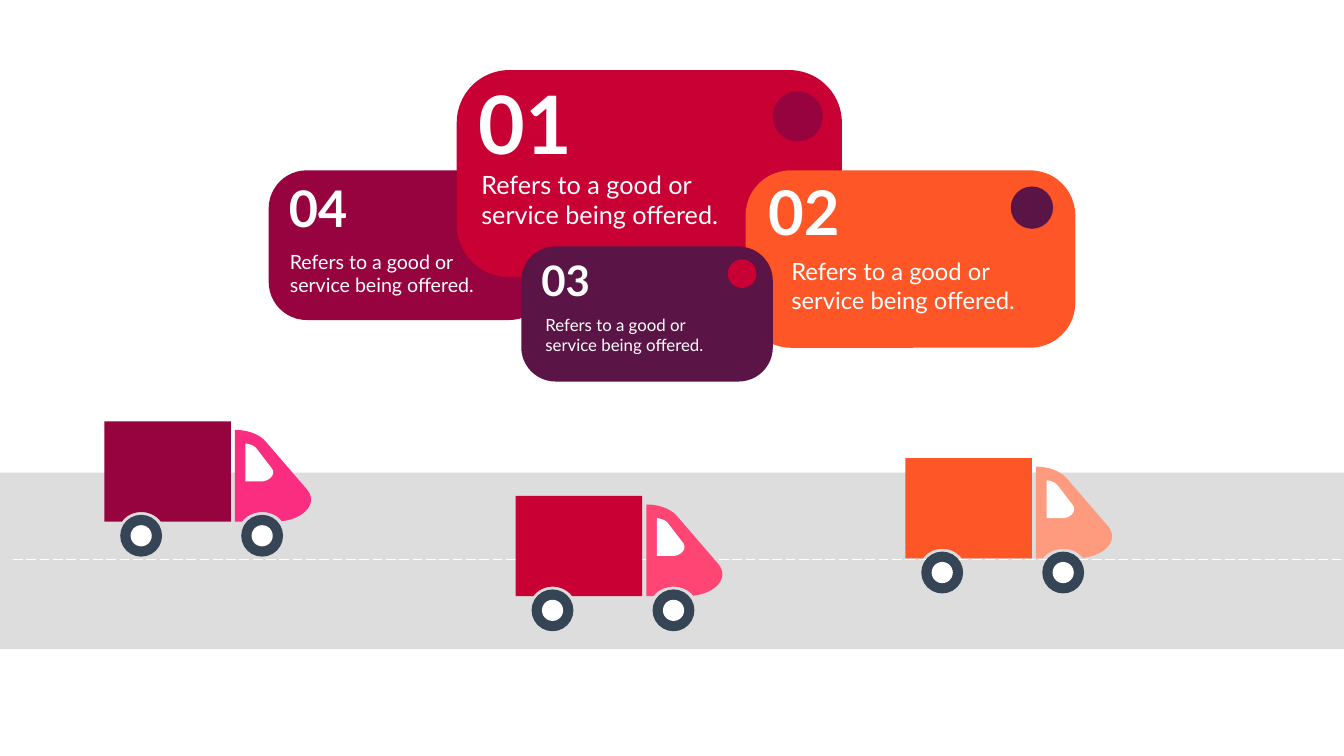
from lxml import etree
from pptx import Presentation
from pptx.dml.color import RGBColor
from pptx.enum import dml, shapes, text
from pptx.oxml import ns
from pptx.util import Inches, Pt

WHITE = RGBColor(0xFF, 0xFF, 0xFF)
ROAD_GREY = RGBColor(0x79, 0x79, 0x79)
TYRE = RGBColor(0x36, 0x45, 0x56)
BURGUNDY = RGBColor(0x96, 0x03, 0x3E)
RED = RGBColor(0xC8, 0x00, 0x33)
ORANGE = RGBColor(0xFE, 0x56, 0x26)
PLUM = RGBColor(0x5A, 0x14, 0x45)
PINK = RGBColor(0xFB, 0x2D, 0x80)
PEACH = RGBColor(0xFE, 0x9A, 0x7D)
ROSE = RGBColor(0xFF, 0x45, 0x74)

FONT = "Lato"
CORNER = 0.254
MESSAGE = "Refers to a good or\nservice being offered."

CARDS = [
    dict(number="04", box=(5.33, 3.38, 5.53, 2.97), color=BURGUNDY,
         number_box=(5.63, 3.47, 1.37, 1.31), number_size=72,
         message_box=(5.65, 4.9, 3.98, 1.04), message_size=28),
    dict(number="01", box=(9.06, 1.39, 7.64, 4.11), color=RED,
         number_box=(9.39, 1.42, 2.07, 2.04), number_size=115,
         message_box=(9.45, 3.3, 5.27, 1.31), message_size=36),
    dict(number="02", box=(14.79, 3.38, 6.54, 3.52), color=ORANGE,
         number_box=(15.14, 3.41, 1.63, 1.58), number_size=88,
         message_box=(15.6, 5.05, 4.73, 1.25), message_size=34),
    dict(number="03", box=(10.34, 4.89, 4.99, 2.68), color=PLUM,
         number_box=(10.64, 5.01, 1.18, 1.11), number_size=60,
         message_box=(10.72, 6.2, 3.45, 0.91), message_size=24),
]

DOTS = [
    (15.825, 2.31, 0.99, BURGUNDY),
    (20.47, 4.12, 0.84, PLUM),
    (14.72, 5.43, 0.57, RED),
]

TRUCKS = [
    (2.07, 8.36, BURGUNDY, PINK),
    (17.96, 9.09, ORANGE, PEACH),
    (10.23, 9.84, RED, ROSE),
]

# Two numbers are a corner; six numbers are a Bezier curve.
CARGO = [(0, 0), (0, 1.99), (0.35, 1.99), (0.42, 1.88, 0.57, 1.8, 0.73, 1.8),
         (0.9, 1.8, 1.04, 1.88, 1.12, 1.99), (2.51, 1.99), (2.51, 0)]
CAB = [(4.01, 1.34), (3.2, 0.4), (3.07, 0.25, 2.83, 0.17, 2.59, 0.17),
       (2.59, 1.99), (2.73, 1.99), (2.81, 1.88, 2.96, 1.8, 3.13, 1.8),
       (3.29, 1.8, 3.44, 1.87, 3.52, 1.98), (3.98, 1.93, 4.25, 1.61, 4.01, 1.34)]
WINDOW = [(3.32, 0.93), (3.02, 0.54), (2.97, 0.48, 2.89, 0.45, 2.8, 0.44),
          (2.8, 1.19), (2.98, 1.19), (3.04, 1.19, 3.02, 1.19, 3.14, 1.19),
          (3.3, 1.17, 3.4, 1.04, 3.32, 0.93)]
WHEEL_CENTRES = [(3.13, 2.27), (0.73, 2.27)]
WHEEL, HUB = 0.83, 0.42
CURVE_STEPS = 16


def paint(shape, color):
    shape.shadow.inherit = False
    shape.fill.solid()
    shape.fill.fore_color.rgb = color
    shape.line.fill.background()
    return shape


def add_preset(slide, preset, box, color):
    return paint(slide.shapes.add_shape(preset, *map(Inches, box)), color)


def add_disc(slide, x, y, size, color):
    box = (x - size / 2, y - size / 2, size, size)
    return add_preset(slide, shapes.MSO_SHAPE.OVAL, box, color)


def trace(outline):
    points = [outline[0]]
    for segment in outline[1:]:
        if len(segment) == 2:
            points.append(segment)
            continue
        controls = [points[-1], segment[:2], segment[2:4], segment[4:]]
        for step in range(1, CURVE_STEPS + 1):
            t = step / CURVE_STEPS
            weights = ((1 - t) ** 3, 3 * t * (1 - t) ** 2, 3 * t * t * (1 - t), t ** 3)
            points.append(tuple(sum(w * c[axis] for w, c in zip(weights, controls))
                                for axis in (0, 1)))
    return points


def add_outline(slide, left, top, outline, color):
    points = [(Inches(left + x), Inches(top + y)) for x, y in trace(outline)]
    builder = slide.shapes.build_freeform(*points[0])
    builder.add_line_segments(points[1:], close=True)
    return paint(builder.convert_to_shape(), color)


def add_text(slide, box, words, size, bold=False, wrap=True):
    frame = slide.shapes.add_textbox(*map(Inches, box)).text_frame
    frame.word_wrap = wrap
    frame.auto_size = text.MSO_AUTO_SIZE.SHAPE_TO_FIT_TEXT
    frame.text = words
    for paragraph in frame.paragraphs:
        for run in paragraph.runs:
            run.font.name = FONT
            run.font.size = Pt(size)
            run.font.bold = bold
            run.font.color.rgb = WHITE


def add_road(slide):
    road = add_preset(slide, shapes.MSO_SHAPE.RECTANGLE, (0, 9.38, 26.66, 3.5), ROAD_GREY)
    tint = road.fill._xPr.find(".//" + ns.qn("a:srgbClr"))
    etree.SubElement(tint, ns.qn("a:alpha"), val="25000")

    lane = slide.shapes.add_connector(
        shapes.MSO_CONNECTOR.STRAIGHT, *map(Inches, (0.26, 11.1, 26.66, 11.1)))
    lane.line.color.rgb = WHITE
    lane.line.width = Pt(1.73)
    lane.line.dash_style = dml.MSO_LINE.LONG_DASH
    etree.SubElement(lane._element.spPr, ns.qn("a:effectLst"))


def add_truck(slide, left, top, cargo_color, cab_color):
    for outline, color in ((CARGO, cargo_color), (CAB, cab_color), (WINDOW, WHITE)):
        add_outline(slide, left, top, outline, color)
    for x, y in WHEEL_CENTRES:
        add_disc(slide, left + x, top + y, WHEEL, TYRE)
        add_disc(slide, left + x, top + y, HUB, WHITE)


def main():
    deck = Presentation()
    deck.slide_width, deck.slide_height = Inches(26.66), Inches(15)
    slide = deck.slides.add_slide(deck.slide_layouts[6])

    add_road(slide)
    for card in CARDS:
        panel = add_preset(slide, shapes.MSO_SHAPE.ROUNDED_RECTANGLE, card["box"], card["color"])
        panel.adjustments[0] = CORNER
    for dot in DOTS:
        add_disc(slide, *dot)
    for truck in TRUCKS:
        add_truck(slide, *truck)
    for card in CARDS:
        add_text(slide, card["number_box"], card["number"], card["number_size"],
                 bold=True, wrap=False)
        add_text(slide, card["message_box"], MESSAGE, card["message_size"])

    deck.save("out.pptx")


if __name__ == "__main__":
    main()
